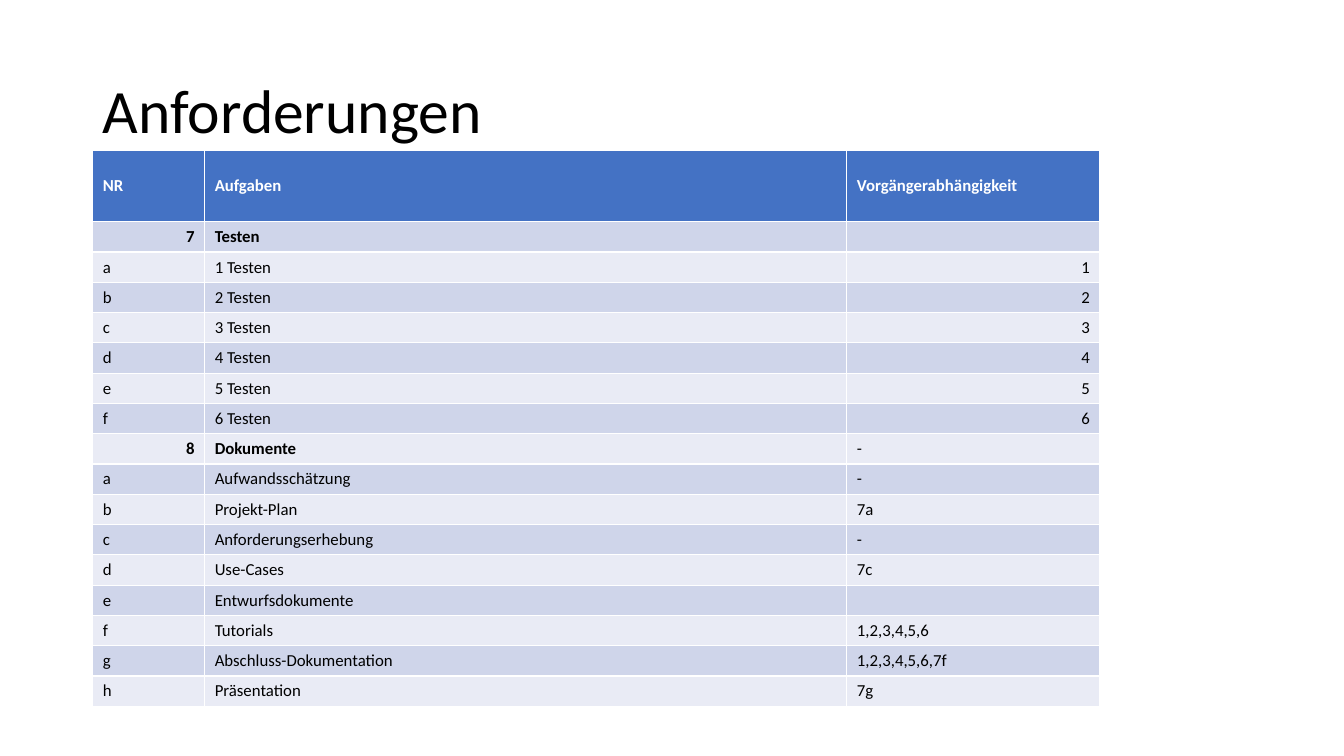
from typing import NamedTuple

from lxml.etree import SubElement
from pptx import Presentation
from pptx.dml.color import RGBColor
from pptx.enum.text import MSO_ANCHOR as Anchor, PP_ALIGN as Align
from pptx.oxml.ns import qn
from pptx.slide import Slide
from pptx.table import _Cell as Cell
from pptx.text.text import _Paragraph as Paragraph
from pptx.util import Inches, Pt

SLIDE_WIDTH, SLIDE_HEIGHT = Inches(13.33), Inches(7.5)
FONT = "Calibri"
TEXT_SIZE, TITLE_SIZE = 12, 44

BLACK = RGBColor(0x00, 0x00, 0x00)
WHITE = RGBColor(0xFF, 0xFF, 0xFF)
HEADER_BLUE = RGBColor(0x44, 0x72, 0xC4)
BANDS = RGBColor(0xE9, 0xEB, 0xF5), RGBColor(0xCF, 0xD5, 0xEA)

TABLE_LEFT, TABLE_TOP = Inches(0.92), Inches(1.49)
COLUMN_WIDTHS = Inches(1.11), Inches(6.37), Inches(2.51)
HEADER_HEIGHT, ROW_HEIGHT = Inches(0.71), Inches(0.3)
HEADINGS = "NR", "Aufgaben", "Vorgängerabhängigkeit"


class Task(NamedTuple):
    name: str
    predecessor: str


class Section(NamedTuple):
    number: str
    task: Task
    subtasks: list[Task]


class Row(NamedTuple):
    texts: tuple[str, str, str]
    bold: bool


SECTIONS = [
    Section("7", Task("Testen", ""), [Task(f"{number} Testen", str(number)) for number in range(1, 7)]),
    Section("8", Task("Dokumente", "-"), [
        Task("Aufwandsschätzung", "-"),
        Task("Projekt-Plan", "7a"),
        Task("Anforderungserhebung", "-"),
        Task("Use-Cases", "7c"),
        Task("Entwurfsdokumente", ""),
        Task("Tutorials", "1,2,3,4,5,6"),
        Task("Abschluss-Dokumentation", "1,2,3,4,5,6,7f"),
        Task("Präsentation", "7g"),
    ]),
]


def section_rows(section: Section) -> list[Row]:
    rows = [Row((section.number, *section.task), True)]
    for letter, task in zip("abcdefgh", section.subtasks):
        rows.append(Row((letter, *task), False))
    return rows


def style_paragraph(paragraph: Paragraph, size: int, color: RGBColor, bold: bool = False) -> None:
    font = paragraph.font
    font.name, font.size, font.bold = FONT, Pt(size), bold
    font.color.rgb = color


def fill_cell(cell: Cell, text: str, fill: RGBColor, color: RGBColor, bold: bool) -> None:
    cell.fill.solid()
    cell.fill.fore_color.rgb = fill
    cell.vertical_anchor = Anchor.MIDDLE
    cell.text = text
    paragraph = cell.text_frame.paragraphs[0]
    style_paragraph(paragraph, TEXT_SIZE, color, bold)
    if text.isdigit():
        paragraph.alignment = Align.RIGHT
    if not text:
        SubElement(paragraph._p, qn("a:endParaRPr"), sz=str(TEXT_SIZE * 100))


def add_title(slide: Slide, text: str) -> None:
    box = slide.shapes.add_textbox(Inches(0.92), Inches(0.4), Inches(11.5), Inches(1.45))
    frame = box.text_frame
    frame.word_wrap = True
    frame.vertical_anchor = Anchor.MIDDLE
    frame.text = text
    paragraph = frame.paragraphs[0]
    paragraph.line_spacing = 0.9
    style_paragraph(paragraph, TITLE_SIZE, BLACK)


def add_task_table(slide: Slide, rows: list[Row]) -> None:
    height = HEADER_HEIGHT + len(rows) * ROW_HEIGHT
    frame = slide.shapes.add_table(
        len(rows) + 1, len(HEADINGS), TABLE_LEFT, TABLE_TOP, sum(COLUMN_WIDTHS), height)
    table = frame.table
    for column, width in zip(table.columns, COLUMN_WIDTHS):
        column.width = width
    for table_row in table.rows:
        table_row.height = ROW_HEIGHT
    table.rows[0].height = HEADER_HEIGHT
    for column, heading in enumerate(HEADINGS):
        fill_cell(table.cell(0, column), heading, HEADER_BLUE, WHITE, True)
    for index, row in enumerate(rows, start=1):
        for column, text in enumerate(row.texts):
            bold = row.bold and column < 2
            fill_cell(table.cell(index, column), text, BANDS[index % 2], BLACK, bold)


def main() -> None:
    presentation = Presentation()
    presentation.slide_width, presentation.slide_height = SLIDE_WIDTH, SLIDE_HEIGHT
    slide = presentation.slides.add_slide(presentation.slide_layouts[6])
    add_title(slide, "Anforderungen")
    add_task_table(slide, [row for section in SECTIONS for row in section_rows(section)])
    presentation.save("out.pptx")


if __name__ == "__main__":
    main()
